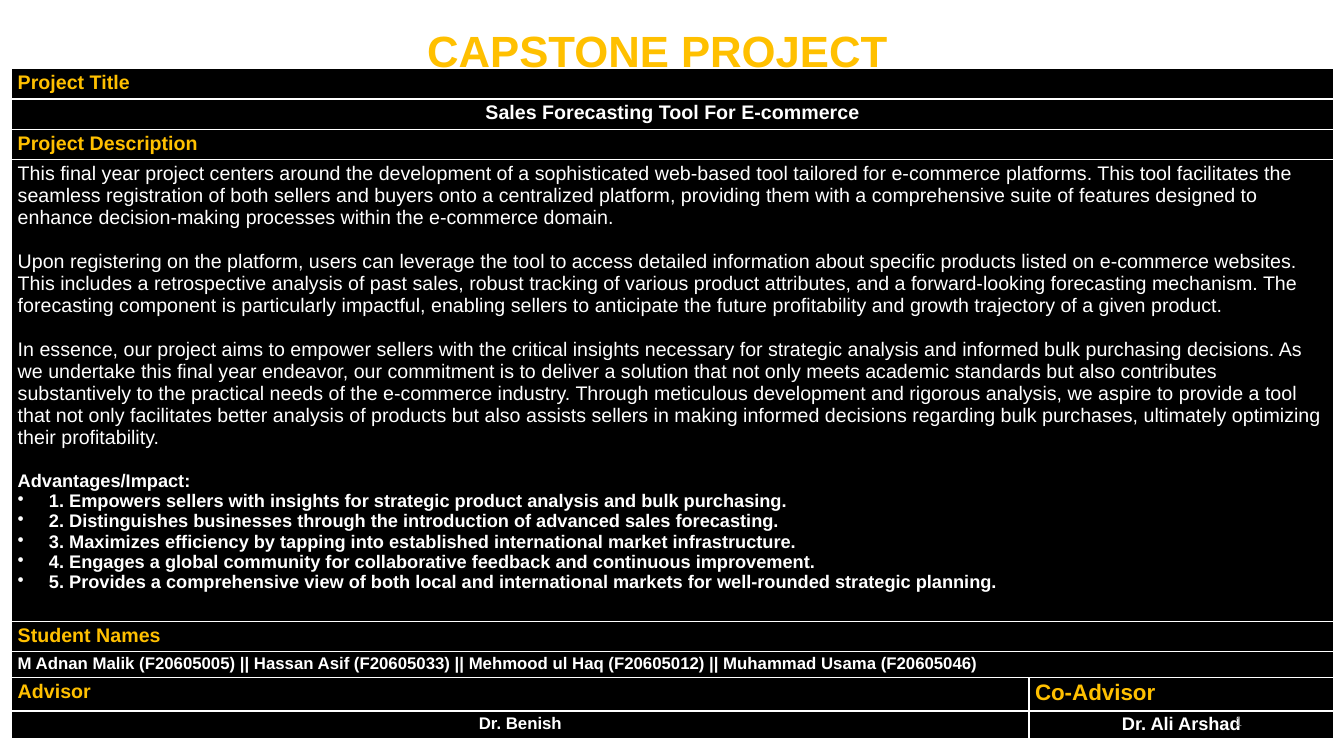
from dataclasses import dataclass

from lxml.etree import SubElement
from pptx import Presentation
from pptx.dml.color import RGBColor
from pptx.enum.text import MSO_ANCHOR, MSO_AUTO_SIZE, PP_ALIGN
from pptx.oxml import parse_xml
from pptx.oxml.ns import nsdecls, qn
from pptx.table import _Cell
from pptx.text.text import TextFrame, _Paragraph
from pptx.util import Emu, Inches, Pt


@dataclass(frozen=True)
class Theme:
    gold: str = "FFC000"
    white: str = "FFFFFF"
    black: str = "000000"
    gray: str = "888888"
    font: str = "Arial"
    number_font: str = "Calibri"
    title: float = 31.2
    large: float = 16
    heading: float = 14
    points: float = 13
    names: float = 12
    number: float = 10.4
    paragraph_gap: float = 15.7


THEME = Theme()


@dataclass(frozen=True)
class Line:
    """One paragraph and its formatting."""
    text: str
    size: float = THEME.heading
    color: str = THEME.white
    bold: bool = True
    align: PP_ALIGN = PP_ALIGN.LEFT
    before: float = 0
    spacing: float = 1.0
    bullet: bool = False
    font: str = THEME.font


@dataclass(frozen=True)
class Row:
    """A table row: height in percent of the slide, and its cells.
    A row with a single cell spans every column."""
    height: float
    cells: list[list[Line]]


@dataclass(frozen=True)
class Area:
    """Left, top, width and height in percent of the slide."""
    left: float
    top: float
    width: float
    height: float


def heading(text: str, size: float = THEME.heading) -> list[Line]:
    return [Line(text, size, THEME.gold)]


def centered(text: str, size: float) -> list[Line]:
    return [Line(text, size, align=PP_ALIGN.CENTER)]


# Wording
DESCRIPTION = [
    "This final year project centers around the development of a sophisticated web-based tool tailored for "
    "e-commerce platforms. This tool facilitates the seamless registration of both sellers and buyers onto a "
    "centralized platform, providing them with a comprehensive suite of features designed to enhance "
    "decision-making processes within the e-commerce domain.",
    "Upon registering on the platform, users can leverage the tool to access detailed information about specific "
    "products listed on e-commerce websites. This includes a retrospective analysis of past sales, robust tracking "
    "of various product attributes, and a forward-looking forecasting mechanism. The forecasting component is "
    "particularly impactful, enabling sellers to anticipate the future profitability and growth trajectory of a "
    "given product.",
    "In essence, our project aims to empower sellers with the critical insights necessary for strategic analysis "
    "and informed bulk purchasing decisions. As we undertake this final year endeavor, our commitment is to deliver "
    "a solution that not only meets academic standards but also contributes substantively to the practical needs of "
    "the e-commerce industry. Through meticulous development and rigorous analysis, we aspire to provide a tool that "
    "not only facilitates better analysis of products but also assists sellers in making informed decisions "
    "regarding bulk purchases, ultimately optimizing their profitability.",
]
ADVANTAGES = [
    "Empowers sellers with insights for strategic product analysis and bulk purchasing.",
    "Distinguishes businesses through the introduction of advanced sales forecasting.",
    "Maximizes efficiency by tapping into established international market infrastructure.",
    "Engages a global community for collaborative feedback and continuous improvement.",
    "Provides a comprehensive view of both local and international markets for well-rounded strategic planning.",
]
STUDENTS = ("M Adnan Malik (F20605005) || Hassan Asif (F20605033) || "
            "Mehmood ul Haq (F20605012) || Muhammad Usama (F20605046)")

DETAILS = [
    Line(text, bold=False, before=THEME.paragraph_gap if index else 0)
    for index, text in enumerate(DESCRIPTION)
] + [
    Line("Advantages/Impact:", THEME.points, align=PP_ALIGN.JUSTIFY, before=THEME.paragraph_gap)
] + [
    Line(f"{number}. {text}", THEME.points, align=PP_ALIGN.JUSTIFY, bullet=True)
    for number, text in enumerate(ADVANTAGES, start=1)
]

# Layout in percent of the slide
TITLE_AREA = Area(9.45, 2.67, 78.92, 8.67)
NUMBER_AREA = Area(70.67, 92.67, 22.5, 5.33)
TABLE_LEFT, TABLE_TOP = 0.87, 9.1
COLUMNS = [75.69, 22.66]
ROWS = [
    Row(4, [heading("Project Title")]),
    Row(4, [centered("Sales Forecasting Tool For E-commerce", THEME.heading)]),
    Row(4, [heading("Project Description")]),
    Row(61.07, [DETAILS]),
    Row(4, [heading("Student Names")]),
    Row(3.47, [[Line(STUDENTS, THEME.names)]]),
    Row(4.4, [heading("Advisor"), heading("Co-Advisor", THEME.large)]),
    Row(3.73, [centered("Dr. Benish", THEME.names), centered("Dr. Ali Arshad", THEME.points)]),
]

deck = Presentation()
deck.slide_width, deck.slide_height = Inches(13.33), Inches(7.5)


def across(percent: float) -> Emu:
    return Emu(round(deck.slide_width * percent / 100))


def down(percent: float) -> Emu:
    return Emu(round(deck.slide_height * percent / 100))


def place(area: Area) -> dict[str, Emu]:
    return {"left": across(area.left), "top": down(area.top),
            "width": across(area.width), "height": down(area.height)}


def add_bullet(para: _Paragraph) -> None:
    properties = para._p.get_or_add_pPr()
    properties.set("marL", str(Inches(0.31)))
    properties.set("indent", str(-Inches(0.31)))
    color = SubElement(properties, qn("a:buClr"))
    SubElement(color, qn("a:srgbClr"), val=THEME.white)
    SubElement(properties, qn("a:buChar"), char="•")


def write(frame: TextFrame, lines: list[Line]) -> None:
    frame.word_wrap = True
    for index, line in enumerate(lines):
        para = frame.add_paragraph() if index else frame.paragraphs[0]
        layout = {"alignment": line.align, "line_spacing": line.spacing, "space_before": Pt(line.before)}
        for name, value in layout.items():
            setattr(para, name, value)
        if line.bullet:
            add_bullet(para)
        span = para.add_run()
        span.text = line.text
        for name, value in {"size": Pt(line.size), "bold": line.bold, "name": line.font}.items():
            setattr(span.font, name, value)
        span.font.color.rgb = RGBColor.from_string(line.color)


def style_cell(cell: _Cell) -> None:
    cell.fill.solid()
    cell.fill.fore_color.rgb = RGBColor.from_string(THEME.black)
    for side in ("left", "right", "top", "bottom"):
        setattr(cell, f"margin_{side}", Inches(0.06 if side in ("left", "right") else 0.03))
    for index, edge in enumerate(("lnL", "lnR", "lnT", "lnB")):
        border = parse_xml(
            f'<a:{edge} {nsdecls("a")} w="{Pt(1)}"><a:solidFill>'
            f'<a:srgbClr val="{THEME.white}"/></a:solidFill></a:{edge}>')
        cell._tc.get_or_add_tcPr().insert(index, border)


def main() -> None:
    page = deck.slides.add_slide(deck.slide_layouts[5])

    # Title
    title = page.shapes.title
    for name, value in place(TITLE_AREA).items():
        setattr(title, name, value)
    title.text_frame.auto_size = MSO_AUTO_SIZE.NONE
    title.text_frame.vertical_anchor = MSO_ANCHOR.MIDDLE
    write(title.text_frame, [Line("CAPSTONE PROJECT", THEME.title, THEME.gold,
                                  align=PP_ALIGN.CENTER, spacing=0.9)])

    # Project table
    table = page.shapes.add_table(
        len(ROWS), len(COLUMNS), across(TABLE_LEFT), down(TABLE_TOP),
        across(sum(COLUMNS)), down(sum(row.height for row in ROWS))).table
    table.first_row = table.horz_banding = False
    for column, width in zip(table.columns, COLUMNS):
        column.width = across(width)
    for index, row in enumerate(ROWS):
        table.rows[index].height = down(row.height)
        for cell in table.rows[index].cells:
            style_cell(cell)
        if len(row.cells) == 1:
            table.cell(index, 0).merge(table.cell(index, len(COLUMNS) - 1))
        for position, lines in enumerate(row.cells):
            write(table.cell(index, position).text_frame, lines)

    # Page number
    box = page.shapes.add_textbox(**place(NUMBER_AREA))
    box.text_frame.vertical_anchor = MSO_ANCHOR.MIDDLE
    write(box.text_frame, [Line("1", THEME.number, THEME.gray, False, PP_ALIGN.RIGHT,
                                font=THEME.number_font)])

    deck.save("out.pptx")


if __name__ == "__main__":
    main()
